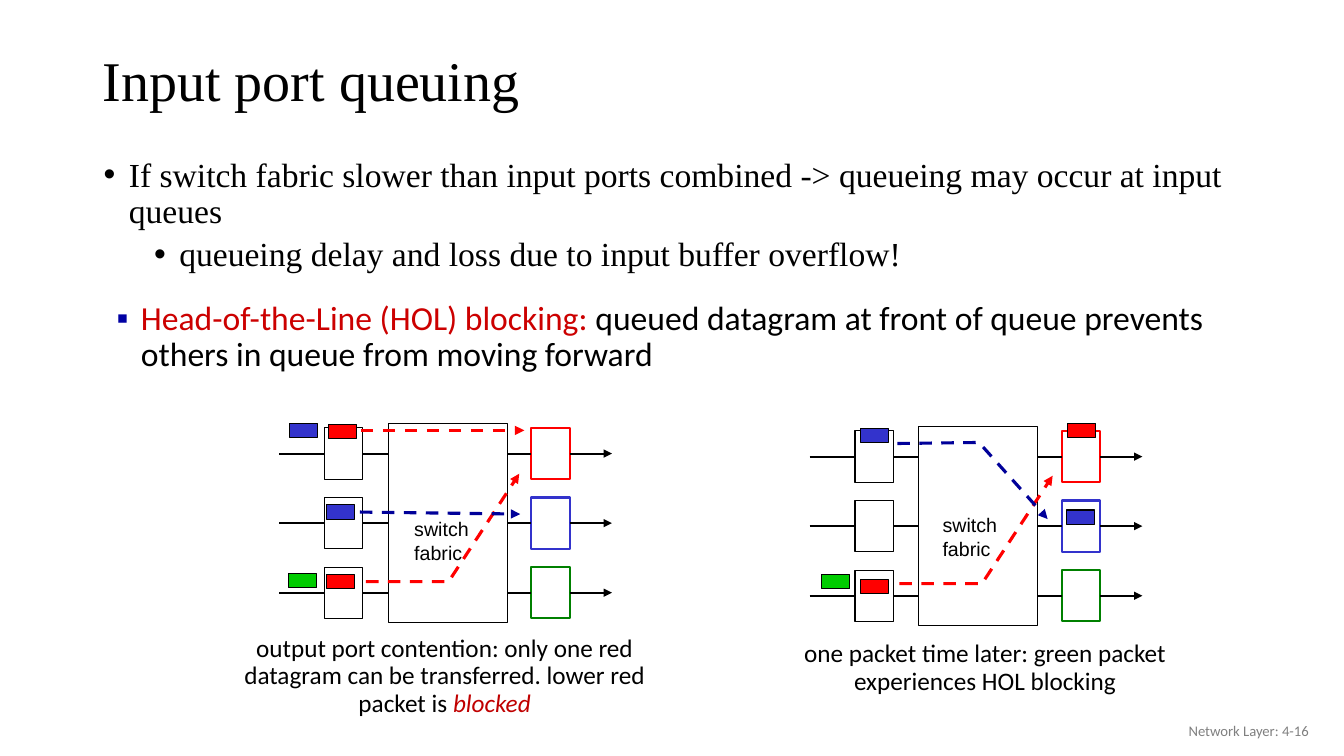
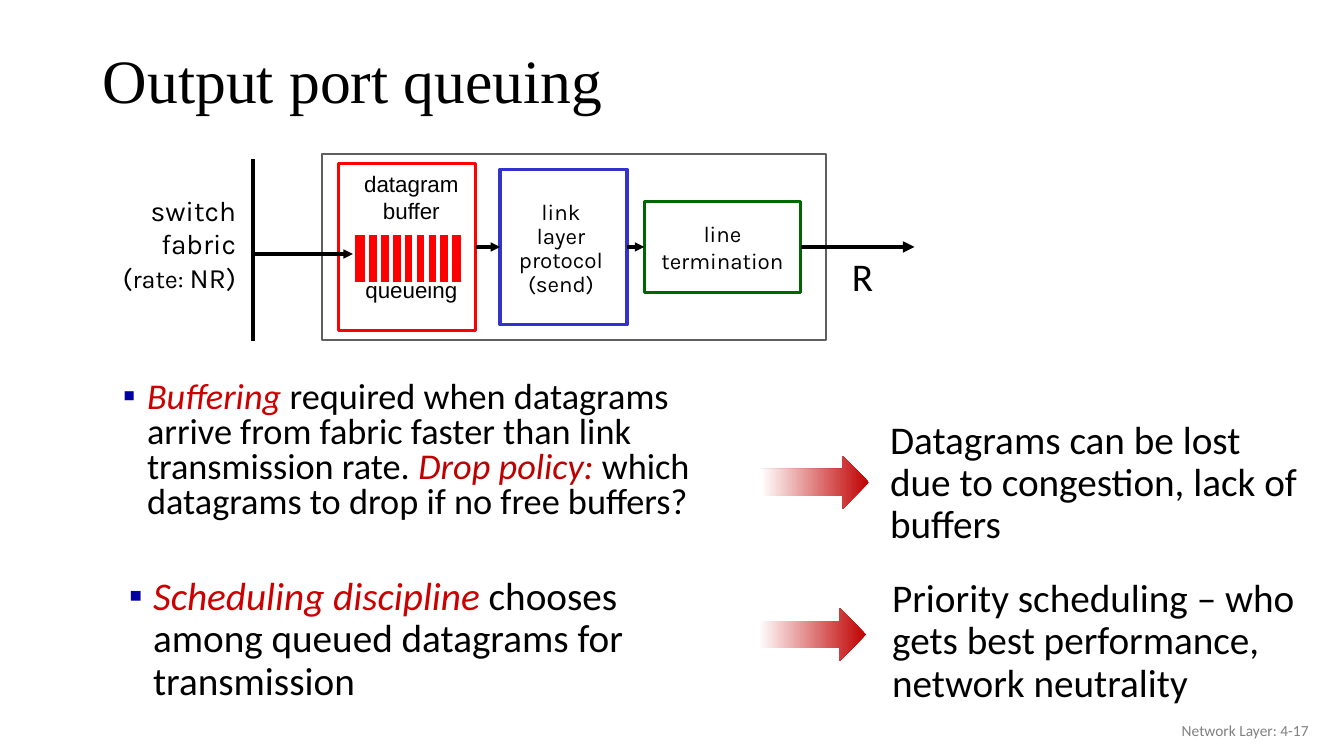
import pptx
import pptx.util
import pptx.dml.color
import pptx.enum.dml
import pptx.enum.shapes
import pptx.enum.text
import pptx.oxml.ns
from lxml import etree

# ---- Shared style ----
BLACK, WHITE, RED, BLUE = "000000", "FFFFFF", "FF0000", "3333CC"
GREEN, PACKET_GREEN, DARK_GREEN = "008000", "00CC00", "006600"
NAVY, BULLET, TERM, CRIMSON, GREY = "000099", "0000A3", "CC0000", "C00000", "808080"
SERIF, SANS, LABEL, DRAWN = "Times New Roman", "Calibri", "Arial", "Karla"
TITLE_BOX, FOOTER_BOX = (0.92, 0.34, 11.5, 0.98), (10.08, 7.05, 3, 0.4)
ALIGN, ANCHOR = pptx.enum.text.PP_ALIGN, pptx.enum.text.MSO_ANCHOR
SQUARE = dict(bullet="▪", bullet_color=BULLET, indent=(0.39, -0.24))

# ---- Content: input port queuing ----
QUEUING = [
    dict(runs=["If switch fabric slower than input ports combined -> "
               "queueing may occur at input queues"], indent=(0.25, -0.25)),
    dict(runs=["queueing delay and loss due to input buffer overflow!"],
         indent=(0.75, -0.25), before=5),
]
HOL = [[("Head-of-the-Line (HOL) blocking:", dict(color=TERM)),
        " queued datagram at front of queue prevents others in queue from moving forward"]]

# Packets, paths and labels are offsets from the top left of the switch fabric.
SWITCHES = [
    dict(origin=(3.85, 4.2), label=(0.16, 0.88),
         packets=[(-0.59, 0.01, RED), (-0.61, 0.81, BLUE), (-0.61, 1.5, RED),
                  (-0.98, 0, BLUE), (-0.99, 1.49, PACKET_GREEN)],
         routes=[(RED, [(-0.27, 0.07), (1.35, 0.07)]),
                 (RED, [(-0.22, 1.57), (0.6, 1.57), (1.3, 0.5)]),
                 (NAVY, [(-0.28, 0.88), (1.31, 0.9)])],
         caption_box=(1.97, 6.26, 4.88, 0.92),
         caption=["output port contention: only one red datagram can be transferred. "
                  "lower red packet is ", ("blocked", dict(color=CRIMSON, italic=True))]),
    dict(origin=(9.11, 4.23), label=(0.14, 0.81),
         packets=[(1.48, -0.03, RED), (-0.58, 0.02, BLUE), (-0.58, 1.52, RED),
                  (-0.96, 1.47, PACKET_GREEN), (1.47, 0.83, BLUE)],
         routes=[(RED, [(-0.19, 1.56), (0.63, 1.56), (1.33, 0.49)]),
                 (NAVY, [(-0.21, 0.17), (0.6, 0.16), (1.28, 0.92)])],
         caption_box=(7.81, 6.31, 3.92, 0.65),
         caption=["one packet time later: green packet experiences HOL blocking"]),
]
FABRIC_W, FABRIC_H = 1.18, 1.98
PORT_W, PORT_H = 0.38, 0.51
FIRST_ROW, ROW_STEP = 0.3, 0.69
INPUT_X, OUTPUT_X, LINK_START, LINK_END = -0.63, 1.42, -1.08, 2.22
OUTPUT_COLORS = [RED, BLUE, GREEN]

# ---- Content: output port queuing ----
ITALIC_TERM = dict(color=TERM, italic=True)
OUTPUT_POINTS = [
    ((0.97, 3.74, 6.54, 1.55), 25.9, 0.8,
     [("Buffering", ITALIC_TERM), " required when datagrams arrive from fabric faster than "
      "link transmission rate. ", ("Drop policy: ", dict(color=CRIMSON, italic=True)),
      "which datagrams to drop if no free buffers?"]),
    ((1.03, 5.67, 5.61, 1.41), 28, 0.9,
     [("Scheduling discipline", ITALIC_TERM),
      " chooses among queued datagrams for transmission"]),
]
CONSEQUENCES = [
    ((7.55, 4.52), (8.73, 4.12, 4.32, 1.37),
     "Datagrams can be lost due to congestion, lack of buffers"),
    ((7.52, 6.03), (8.75, 5.69, 4.58, 1.37),
     "Priority scheduling – who gets best performance, network neutrality"),
]
SWITCH_LABEL = ["switch", "fabric", ["(", ("rate: ", dict(size=18)), "NR)"]]
BUFFER_LABEL = ["datagram", "buffer", dict(runs=["queueing"], before=37)]
LINK_LABEL = ["link", "layer", "protocol", "(send)"]
LINE_LABEL = ["line", "termination"]
PORT_MIDDLE = 2.45
QUEUE_BOX, SLOTS, SLOT_START, SLOT_STEP = (3.5, 2.31, 1.09, 0.51), 8, 0.14, 0.118


# ---- Helpers ----
def inches(values):
    return [pptx.util.Inches(v) for v in values]


def rgb(value):
    return pptx.dml.color.RGBColor.from_string(value)


def add_xml(parent, tag, **attributes):
    return etree.SubElement(parent, pptx.oxml.ns.qn(tag), attributes)


def write(shape, paragraphs, size=24, font=SANS, color=BLACK, align=ALIGN.LEFT,
          anchor=ANCHOR.TOP, wrap=True, spacing=None, before=None, indent=None,
          bullet=None, bullet_color=BLACK, margins=(0.1, 0.05, 0.1, 0.05)):
    """Paragraphs are strings, run lists, or dicts of runs with own spacing and indent."""
    frame = shape.text_frame
    frame.auto_size = pptx.enum.text.MSO_AUTO_SIZE.NONE
    frame.word_wrap, frame.vertical_anchor = wrap, anchor
    (frame.margin_left, frame.margin_top,
     frame.margin_right, frame.margin_bottom) = inches(margins)
    for number, content in enumerate(paragraphs):
        if not isinstance(content, dict):
            content = dict(runs=[content] if isinstance(content, str) else content)
        paragraph = frame.paragraphs[0] if number == 0 else frame.add_paragraph()
        paragraph.alignment = align
        if spacing:
            paragraph.line_spacing = spacing
        gap = content.get("before", before)
        if gap and number:
            paragraph.space_before = pptx.util.Pt(gap)
        if bullet:
            properties = paragraph._p.get_or_add_pPr()
            left, first = inches(content.get("indent", indent))
            properties.set("marL", str(left))
            properties.set("indent", str(first))
            add_xml(add_xml(properties, "a:buClr"), "a:srgbClr", val=bullet_color)
            add_xml(properties, "a:buFont", typeface=LABEL)
            add_xml(properties, "a:buChar", char=bullet)
        for piece in content["runs"]:
            words, own = (piece, {}) if isinstance(piece, str) else piece
            run = paragraph.add_run()
            run.text = words
            run.font.name = font
            run.font.size = pptx.util.Pt(own.get("size", size))
            run.font.color.rgb = rgb(own.get("color", color))
            run.font.italic = own.get("italic", False)
    return shape


def text(slide, box, paragraphs, **style):
    return write(slide.shapes.add_textbox(*inches(box)), paragraphs, **style)


def rect(slide, box, fill=WHITE, outline=BLACK, width=0.75):
    shape = slide.shapes.add_shape(pptx.enum.shapes.MSO_SHAPE.RECTANGLE, *inches(box))
    shape.shadow.inherit = False
    shape.fill.solid()
    shape.fill.fore_color.rgb = rgb(fill)
    shape.line.color.rgb = rgb(outline)
    shape.line.width = pptx.util.Pt(width)
    return shape


def stroke(shape, color, width, dashed, arrow):
    shape.line.color.rgb = rgb(color)
    shape.line.width = pptx.util.Pt(width)
    if dashed:
        shape.line.dash_style = pptx.enum.dml.MSO_LINE.DASH
    if arrow:
        add_xml(shape.line._get_or_add_ln(), "a:tailEnd", type="triangle")


def line(slide, start, end, color=BLACK, width=1.5, dashed=False, arrow=False):
    """Each end is a point, or a (rectangle, side) pair to join."""
    joined = [hasattr(tip[0], "shape_id") for tip in (start, end)]
    points = [(0, 0) if glued else tip for glued, tip in zip(joined, (start, end))]
    connector = slide.shapes.add_connector(
        pptx.enum.shapes.MSO_CONNECTOR.STRAIGHT, *inches(points[0] + points[1]))
    if joined[0]:
        connector.begin_connect(*start)
    if joined[1]:
        connector.end_connect(*end)
    stroke(connector, color, width, dashed, arrow)
    add_xml(connector._element.spPr, "a:effectLst")


def route(slide, points, color):
    if len(points) == 2:
        line(slide, *points, color=color, width=2.25, dashed=True, arrow=True)
        return
    corners = [inches(point) for point in points]
    builder = slide.shapes.build_freeform(*corners[0])
    builder.add_line_segments(corners[1:], close=False)
    bend = builder.convert_to_shape()
    bend.shadow.inherit = False
    bend.fill.background()
    stroke(bend, color, 2.25, True, True)


def new_slide(deck, title, title_size, footer, footer_size):
    slide = deck.slides.add_slide(deck.slide_layouts[5])
    heading = slide.shapes.title
    heading.left, heading.top, heading.width, heading.height = inches(TITLE_BOX)
    write(heading, [title], size=title_size, font=SERIF, anchor=ANCHOR.MIDDLE, spacing=0.9)
    text(slide, FOOTER_BOX, [footer], size=footer_size, color=GREY,
         align=ALIGN.RIGHT, anchor=ANCHOR.MIDDLE)
    return slide


# ---- Drawings ----
def draw_switch(slide, switch):
    x, y = switch["origin"]
    fabric = rect(slide, (x, y, FABRIC_W, FABRIC_H))
    for row, color in enumerate(OUTPUT_COLORS):
        middle = y + FIRST_ROW + row * ROW_STEP
        top = middle - PORT_H / 2
        entry = rect(slide, (x + INPUT_X, top, PORT_W, PORT_H))
        leaving = rect(slide, (x + OUTPUT_X, top, PORT_W, PORT_H), outline=color, width=1.5)
        central = row == 1
        line(slide, (x + LINK_START, middle), (entry, 1))
        line(slide, (entry, 3), (fabric, 1) if central else (x, middle))
        line(slide, (fabric, 3) if central else (x + FABRIC_W, middle), (leaving, 1))
        line(slide, (leaving, 3), (x + LINK_END, middle), arrow=True)
    for dx, dy, color in switch["packets"]:
        rect(slide, (x + dx, y + dy, 0.28, 0.14), fill=color)
    for color, points in switch["routes"]:
        route(slide, [(x + dx, y + dy) for dx, dy in points], color)
    dx, dy = switch["label"]
    text(slide, (x + dx, y + dy, 0.75, 0.57), ["switch", "fabric"],
         size=14, font=LABEL, wrap=False)
    text(slide, switch["caption_box"], [switch["caption"]], size=18,
         align=ALIGN.CENTER, spacing=0.9)


def draw_output_port(slide):
    rect(slide, (3.19, 1.53, 5, 1.84), outline="5F5F5F", width=1.5)
    buffer, link, termination = [
        rect(slide, (left, PORT_MIDDLE - height / 2, width, height), outline=color, width=2.25)
        for left, width, height, color in [(3.36, 1.36, 1.65, RED), (4.96, 1.26, 1.54, BLUE),
                                           (6.39, 1.55, 0.91, DARK_GREEN)]]
    drawn = dict(font=DRAWN, anchor=ANCHOR.MIDDLE, wrap=False)
    write(link, LINK_LABEL, size=16, align=ALIGN.CENTER, spacing=0.9,
          margins=(0.1, 0.1, 0.15, 0.05), **drawn)
    write(termination, LINE_LABEL, size=16, align=ALIGN.CENTER, **drawn)
    text(slide, (1.29, 1.96, 1.15, 0.91), SWITCH_LABEL, size=20, align=ALIGN.RIGHT, **drawn)
    text(slide, (3.45, 1.64, 1.26, 1.6), BUFFER_LABEL, size=16, font=LABEL,
         align=ALIGN.CENTER, wrap=False)

    # Queue of waiting datagrams
    rect(slide, QUEUE_BOX, fill=RED, outline=WHITE, width=3)
    left, top, _, height = QUEUE_BOX
    for slot in range(SLOTS):
        x = left + SLOT_START + slot * SLOT_STEP
        line(slide, (x, top), (x, top + height), color=WHITE, width=3)

    # Path from the fabric to the outgoing link
    line(slide, (2.51, 1.58), (2.51, 3.38), width=2.25)
    line(slide, (2.49, 2.52), (3.5, 2.52), width=2.25, arrow=True)
    line(slide, (buffer, 3), (link, 1), width=2.25, arrow=True)
    line(slide, (link, 3), (termination, 1), width=2.25, arrow=True)
    line(slide, (termination, 3), (9.07, PORT_MIDDLE), width=2.75, arrow=True)
    text(slide, (8.35, 2.45, 0.35, 0.57), ["R"], size=28)


def fading_arrow(slide, position):
    arrow = slide.shapes.add_shape(pptx.enum.shapes.MSO_SHAPE.RIGHT_ARROW,
                                   *inches(position + (1.07, 0.53)))
    arrow.shadow.inherit = False
    arrow.line.fill.background()
    arrow.fill.gradient()
    arrow.fill.gradient_angle = 180
    for stop, color in zip(arrow.fill.gradient_stops, [CRIMSON, WHITE]):
        stop.color.rgb = rgb(color)


def main():
    deck = pptx.Presentation()
    deck.slide_width, deck.slide_height = inches((13.33, 7.5))

    # Input port queuing
    slide = new_slide(deck, "Input port queuing", 40, "Network Layer: 4-16", 10.5)
    text(slide, (0.93, 1.52, 11.5, 1.48), QUEUING, font=SERIF, spacing=0.9, bullet="•")
    text(slide, (0.91, 2.94, 11.5, 1.08), HOL, spacing=0.9, **SQUARE)
    for switch in SWITCHES:
        draw_switch(slide, switch)

    # Output port queuing
    slide = new_slide(deck, "Output port queuing", 44, "Network Layer: 4-17", 11)
    draw_output_port(slide)
    for box, size, spacing, runs in OUTPUT_POINTS:
        text(slide, box, [runs], size=size, spacing=spacing, **SQUARE)
    for position, box, outcome in CONSEQUENCES:
        fading_arrow(slide, position)
        text(slide, box, [outcome], size=28, spacing=0.9)

    deck.save("out.pptx")


if __name__ == "__main__":
    main()
